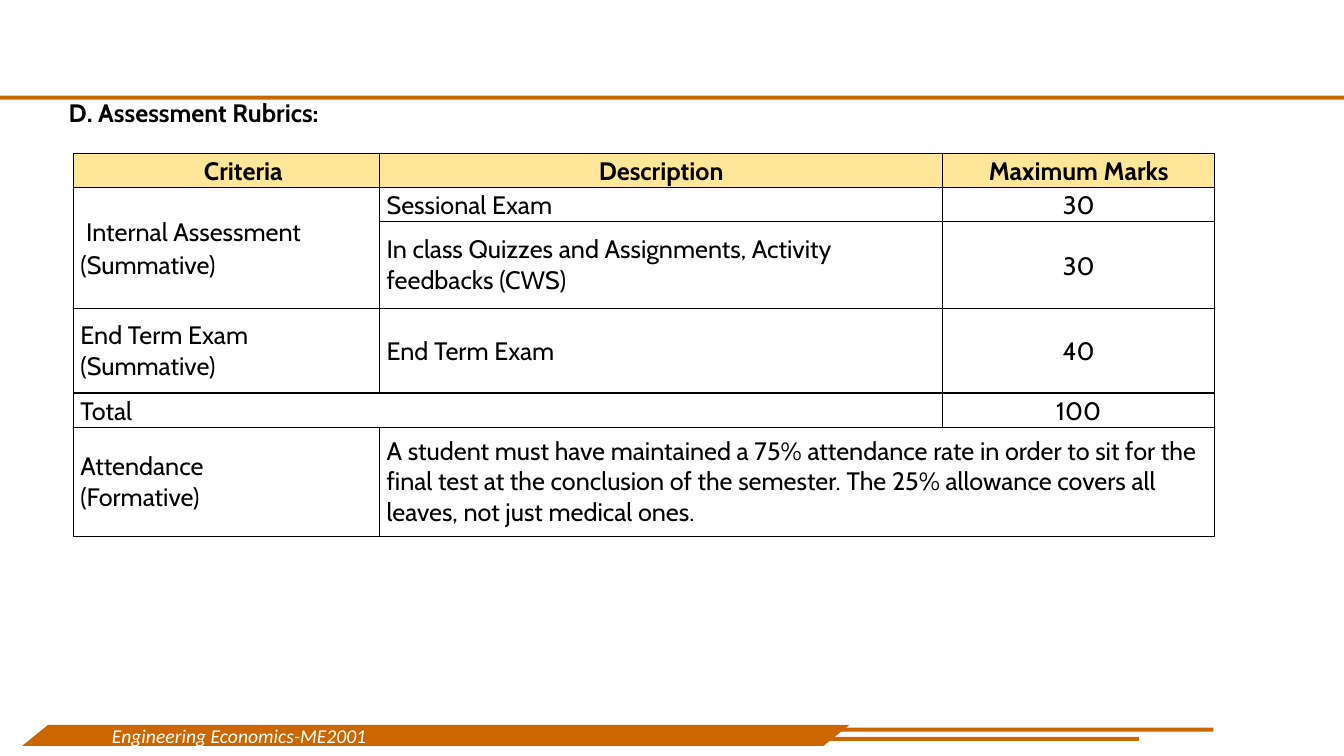
from pptx import Presentation
from pptx.dml.color import RGBColor
from pptx.enum.shapes import MSO_SHAPE
from pptx.enum.text import MSO_ANCHOR, PP_ALIGN
from pptx.oxml import parse_xml
from pptx.oxml.ns import nsdecls
from pptx.util import Pt

RECT, BAND = MSO_SHAPE.RECTANGLE, MSO_SHAPE.PARALLELOGRAM
TOP, MIDDLE = MSO_ANCHOR.TOP, MSO_ANCHOR.MIDDLE
LEFT, CENTER = PP_ALIGN.LEFT, PP_ALIGN.CENTER

TITLE = "D. Assessment Rubrics:"
FOOTER = "Engineering Economics-ME2001"
# "\n" starts a paragraph, "\v" breaks a line, None is covered by a merged cell
RUBRIC = [
    ("Criteria", "Description", "Maximum Marks"),
    (" Internal Assessment\v(Summative)", "Sessional Exam", "30"),
    (None, "In class Quizzes and Assignments, Activity feedbacks (CWS)", "30"),
    ("End Term Exam\n(Summative)", "End Term Exam", "40"),
    ("Total", None, "100"),
    ("Attendance\n(Formative)",
     "A student must have maintained a 75% attendance rate in order to sit for "
     "the final test at the conclusion of the semester. The 25% allowance "
     "covers all leaves, not just medical ones.", None),
]
MERGES = [((1, 0), (2, 0)), ((4, 0), (4, 1)), ((5, 1), (5, 2))]
COLUMNS = (218.7, 402.2, 194.3)
ROWS = (24.5, 24.5, 61.8, 60.5, 24.5, 78)
TABLE_AT = (52.5, 109.5)
TITLE_BOX = (41.8, 66.2, 209.5, 51)
RULES = [(0, 68.4, 960, 2.9), (537, 519.8, 329.8, 2.9), (554.4, 526.3, 259.2, 2.9)]
FOOTER_BOX = (15.8, 517.7, 591.1, 15.1)
LONG_TEXT = 40


class Theme:
    accent = RGBColor(0xCC, 0x66, 0x00)
    header = RGBColor(0xFF, 0xE6, 0x99)
    ink = RGBColor(0, 0, 0)
    light = RGBColor(255, 255, 255)
    border = "000000"
    body_font, footer_font = "Cabin", "Calibri"
    body_size, footer_size = Pt(18), Pt(14)


def points(values):
    return [Pt(v) for v in values]


def style(p, font, size, color, bold=False, italic=False):
    for r in p.runs:
        r.font.name, r.font.size = font, size
        r.font.bold, r.font.italic = bold, italic
        r.font.color.rgb = color


def add_bar(s, shape_type, box):
    sp = s.shapes.add_shape(shape_type, *points(box))
    sp.shadow.inherit = False
    sp.fill.solid()
    sp.fill.fore_color.rgb = Theme.accent
    sp.line.fill.background()
    return sp


def add_footer(s):
    sp = add_bar(s, BAND, FOOTER_BOX)
    sp.adjustments[0] = 1.236
    tf = sp.text_frame
    tf.text = FOOTER
    tf.vertical_anchor = MIDDLE
    p = tf.paragraphs[0]
    p.alignment = LEFT
    style(p, Theme.footer_font, Theme.footer_size, Theme.light, italic=True)


def add_title(s):
    sp = s.shapes.title
    sp.left, sp.top, sp.width, sp.height = points(TITLE_BOX)
    tf = sp.text_frame
    tf.text = TITLE
    tf.word_wrap = False
    tf.vertical_anchor = TOP
    p = tf.paragraphs[0]
    p.alignment = LEFT
    style(p, Theme.body_font, Theme.body_size, Theme.ink, bold=True)


def add_borders(cell):
    tc_pr = cell._tc.get_or_add_tcPr()
    for i, side in enumerate("LRTB"):
        tc_pr.insert(i, parse_xml(
            f'<a:ln{side} {nsdecls("a")} w="{Pt(1)}"><a:solidFill>'
            f'<a:srgbClr val="{Theme.border}"/></a:solidFill></a:ln{side}>'))


def format_cell(cell, text, row, col):
    is_header = row == 0
    cell.margin_left = cell.margin_right = Pt(5)
    cell.margin_top = cell.margin_bottom = 0
    cell.vertical_anchor = MIDDLE
    if is_header:
        cell.fill.solid()
        cell.fill.fore_color.rgb = Theme.header
        if col == 0:
            cell.margin_left = Pt(29)
    else:
        cell.fill.background()
    add_borders(cell)
    if text is None:
        return
    cell.text_frame.text = text
    tight = "\n" in text or len(text) > LONG_TEXT
    for p in cell.text_frame.paragraphs:
        p.alignment = CENTER if is_header or col == 2 else LEFT
        p.line_spacing = 1.0 if tight else 1.07
        style(p, Theme.body_font, Theme.body_size, Theme.ink, bold=is_header)


def add_rubric(s):
    frame = s.shapes.add_table(len(ROWS), len(COLUMNS), *points(TABLE_AT),
                               Pt(sum(COLUMNS)), Pt(sum(ROWS)))
    table = frame.table
    table.first_row = table.horz_banding = False
    for column, width in zip(table.columns, COLUMNS):
        column.width = Pt(width)
    for row, height in zip(table.rows, ROWS):
        row.height = Pt(height)
    for first, last in MERGES:
        table.cell(*first).merge(table.cell(*last))
    for i, texts in enumerate(RUBRIC):
        for j, text in enumerate(texts):
            format_cell(table.cell(i, j), text, i, j)


def main():
    prs = Presentation()
    prs.slide_width, prs.slide_height = Pt(960), Pt(540)
    s = prs.slides.add_slide(prs.slide_layouts[5])
    for box in RULES:
        add_bar(s, RECT, box)
    add_footer(s)
    add_rubric(s)
    add_title(s)
    prs.save("out.pptx")


if __name__ == "__main__":
    main()
